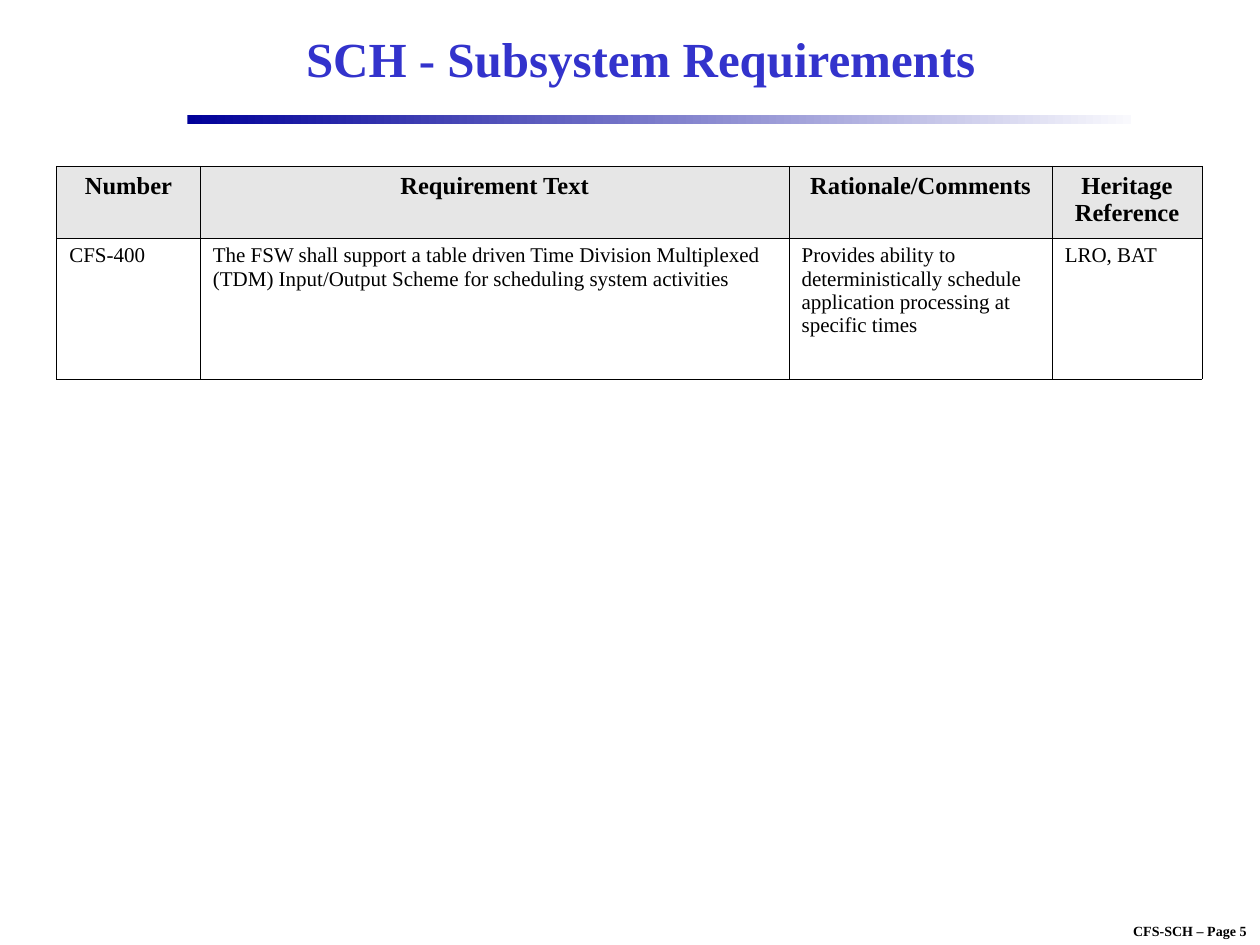
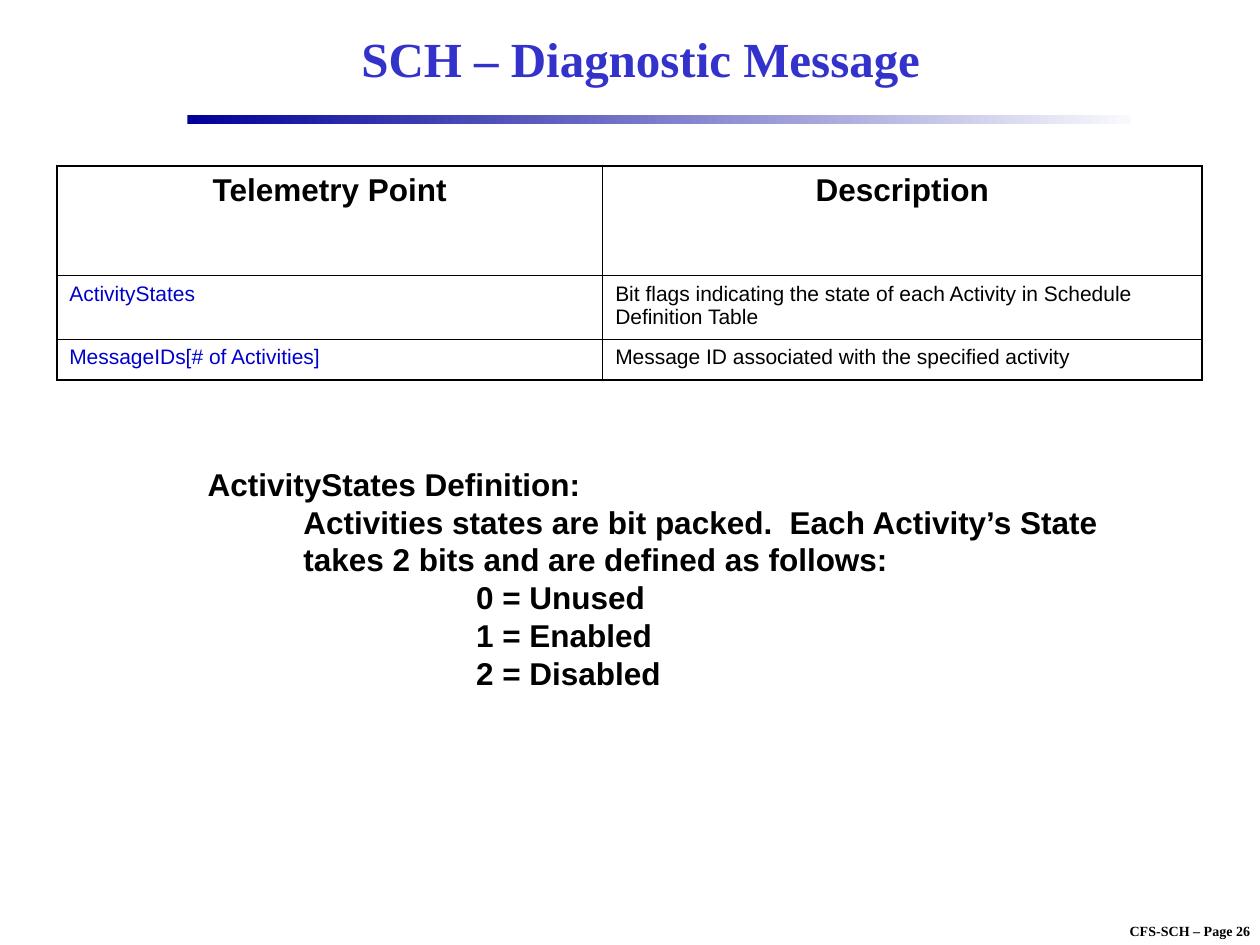
from dataclasses import dataclass
from typing import Optional

from lxml.etree import SubElement
from pptx import Presentation
from pptx.dml.color import RGBColor
from pptx.enum.shapes import MSO_SHAPE as Preset
from pptx.enum.text import MSO_ANCHOR as Anchor, PP_ALIGN as Align
from pptx.oxml.ns import qn
from pptx.util import Pt

COLORS = {
    "black": "000000",
    "title": "3333CC",
    "rule_start": "000099",
    "rule_end": "F9F9FD",
    "header_fill": "E6E6E6",
    "telemetry": "0000CC",
}
SERIF, SANS = "Times New Roman", "Arial"
TABLE_LEFT, TABLE_TOP = 32.4, 95
INNER_LINE = 0.45


@dataclass(frozen=True)
class Style:
    font: str
    size: float
    bold: bool = False
    color: str = "black"
    align: Align = Align.LEFT


@dataclass(frozen=True)
class Box:
    left: float
    top: float
    width: float
    height: float

    def lengths(self) -> tuple:
        return Pt(self.left), Pt(self.top), Pt(self.width), Pt(self.height)


@dataclass(frozen=True)
class Line:
    text: str
    indent: float = 0


@dataclass(frozen=True)
class TableSpec:
    columns: tuple
    row_heights: tuple
    rows: tuple
    header_style: Style
    body_styles: tuple
    outer_line: float
    header_fill: Optional[str] = None


TITLE_STYLE = Style(SERIF, 28, True, "title", Align.CENTER)
FOOTER_STYLE = Style(SERIF, 8, True, align=Align.CENTER)
DEFINITION_STYLE = Style(SANS, 18, True)

TITLE_BOX = Box(108, 5.8, 516.2, 54)
RULE_BOX = Box(107, 66, 539.3, 5)
FOOTER_BOX = Box(624.2, 523.4, 111.6, 16.6)
DEFINITION_BOX = Box(111.6, 262.1, 540, 136.8)

REQUIREMENTS = TableSpec(
    columns=(82.1, 336.4, 150.4, 85.6),
    row_heights=(41, 80.7),
    rows=(
        ("Number", "Requirement Text", "Rationale/Comments", "Heritage Reference"),
        (
            "CFS-400",
            "The FSW shall support a table driven Time Division Multiplexed "
            "(TDM) Input/Output Scheme for scheduling system activities",
            "Provides ability to deterministically schedule application "
            "processing at specific times",
            "LRO, BAT",
        ),
    ),
    header_style=Style(SERIF, 14, True, align=Align.CENTER),
    body_styles=(Style(SERIF, 12),) * 4,
    outer_line=INNER_LINE,
    header_fill="header_fill",
)

TELEMETRY = TableSpec(
    columns=(312, 342.5),
    row_heights=(62.6, 36.3, 23.3),
    rows=(
        ("Telemetry Point", "Description"),
        (
            "ActivityStates",
            "Bit flags indicating the state of each Activity in Schedule "
            "Definition Table",
        ),
        (
            "MessageIDs[# of Activities]",
            "Message ID associated with the specified activity",
        ),
    ),
    header_style=Style(SANS, 18, True, align=Align.CENTER),
    body_styles=(Style(SANS, 12, color="telemetry"), Style(SANS, 12)),
    outer_line=1.08,
)

STATE_INDENT, VALUE_INDENT = 54.7, 153.4
DEFINITION = (
    Line("ActivityStates Definition:"),
    Line("Activities states are bit packed.  Each Activity’s State", STATE_INDENT),
    Line("takes 2 bits and are defined as follows:", STATE_INDENT),
    Line("0 = Unused", VALUE_INDENT),
    Line("1 = Enabled", VALUE_INDENT),
    Line("2 = Disabled", VALUE_INDENT),
)


def rgb(name: str) -> RGBColor:
    return RGBColor.from_string(COLORS[name])


def write(paragraph, text: str, style: Style) -> None:
    paragraph.alignment = style.align
    run = paragraph.add_run()
    run.text = text
    run.font.name = style.font
    run.font.size = Pt(style.size)
    run.font.bold = style.bold
    run.font.color.rgb = rgb(style.color)


def add_text(slide, box: Box, lines: tuple, style: Style, wrap: bool = True,
             anchor: Anchor = Anchor.TOP, spacing: Optional[float] = None) -> None:
    frame = slide.shapes.add_textbox(*box.lengths()).text_frame
    frame.word_wrap = wrap
    frame.vertical_anchor = anchor
    for index, line in enumerate(lines):
        paragraph = frame.add_paragraph() if index else frame.paragraphs[0]
        if line.indent:
            paragraph._p.get_or_add_pPr().set("marL", str(Pt(line.indent)))
        if spacing:
            paragraph.line_spacing = Pt(spacing)
        write(paragraph, line.text, style)


def add_rule(slide) -> None:
    """Draw the fading band under the title."""
    rule = slide.shapes.add_shape(Preset.RECTANGLE, *RULE_BOX.lengths())
    rule.shadow.inherit = False
    rule.line.fill.background()
    rule.fill.gradient()
    rule.fill.gradient_angle = 0
    for stop, name in zip(rule.fill.gradient_stops, ("rule_start", "rule_end")):
        stop.color.rgb = rgb(name)


def set_border(cell, side: str, width: float) -> None:
    line = SubElement(cell._tc.get_or_add_tcPr(), qn(f"a:ln{side}"), w=str(Pt(width)))
    fill = SubElement(line, qn("a:solidFill"))
    SubElement(fill, qn("a:srgbClr"), val=COLORS["black"])


def add_table(slide, spec: TableSpec) -> None:
    row_count, column_count = len(spec.row_heights), len(spec.columns)
    box = Box(TABLE_LEFT, TABLE_TOP, sum(spec.columns), sum(spec.row_heights))
    table = slide.shapes.add_table(row_count, column_count, *box.lengths()).table
    table.first_row = table.horz_banding = False
    for column, width in zip(table.columns, spec.columns):
        column.width = Pt(width)
    for row, height in zip(table.rows, spec.row_heights):
        row.height = Pt(height)

    for row_index, texts in enumerate(spec.rows):
        is_header = row_index == 0
        for column_index, text in enumerate(texts):
            cell = table.cell(row_index, column_index)
            style = spec.header_style if is_header else spec.body_styles[column_index]
            write(cell.text_frame.paragraphs[0], text, style)
            on_outside = {
                "L": column_index == 0,
                "R": column_index == column_count - 1,
                "T": is_header,
                "B": row_index == row_count - 1,
            }
            for side, outside in on_outside.items():
                set_border(cell, side, spec.outer_line if outside else INNER_LINE)
            if is_header and spec.header_fill:
                cell.fill.solid()
                cell.fill.fore_color.rgb = rgb(spec.header_fill)
            else:
                cell.fill.background()


def add_slide(presentation, title: str, page: int):
    """Add a blank slide with the shared footer, rule and title."""
    slide = presentation.slides.add_slide(presentation.slide_layouts[6])
    footer = (Line(f"CFS-SCH – Page {page}"),)
    add_text(slide, FOOTER_BOX, footer, FOOTER_STYLE, wrap=False)
    add_rule(slide)
    add_text(slide, TITLE_BOX, (Line(title),), TITLE_STYLE, anchor=Anchor.MIDDLE)
    return slide


def main() -> None:
    presentation = Presentation()
    presentation.slide_width, presentation.slide_height = Pt(720), Pt(540)

    requirements = add_slide(presentation, "SCH - Subsystem Requirements", 5)
    add_table(requirements, REQUIREMENTS)

    diagnostics = add_slide(presentation, "SCH – Diagnostic Message", 26)
    add_table(diagnostics, TELEMETRY)
    add_text(diagnostics, DEFINITION_BOX, DEFINITION, DEFINITION_STYLE, spacing=21.6)

    presentation.save("out.pptx")


if __name__ == "__main__":
    main()
